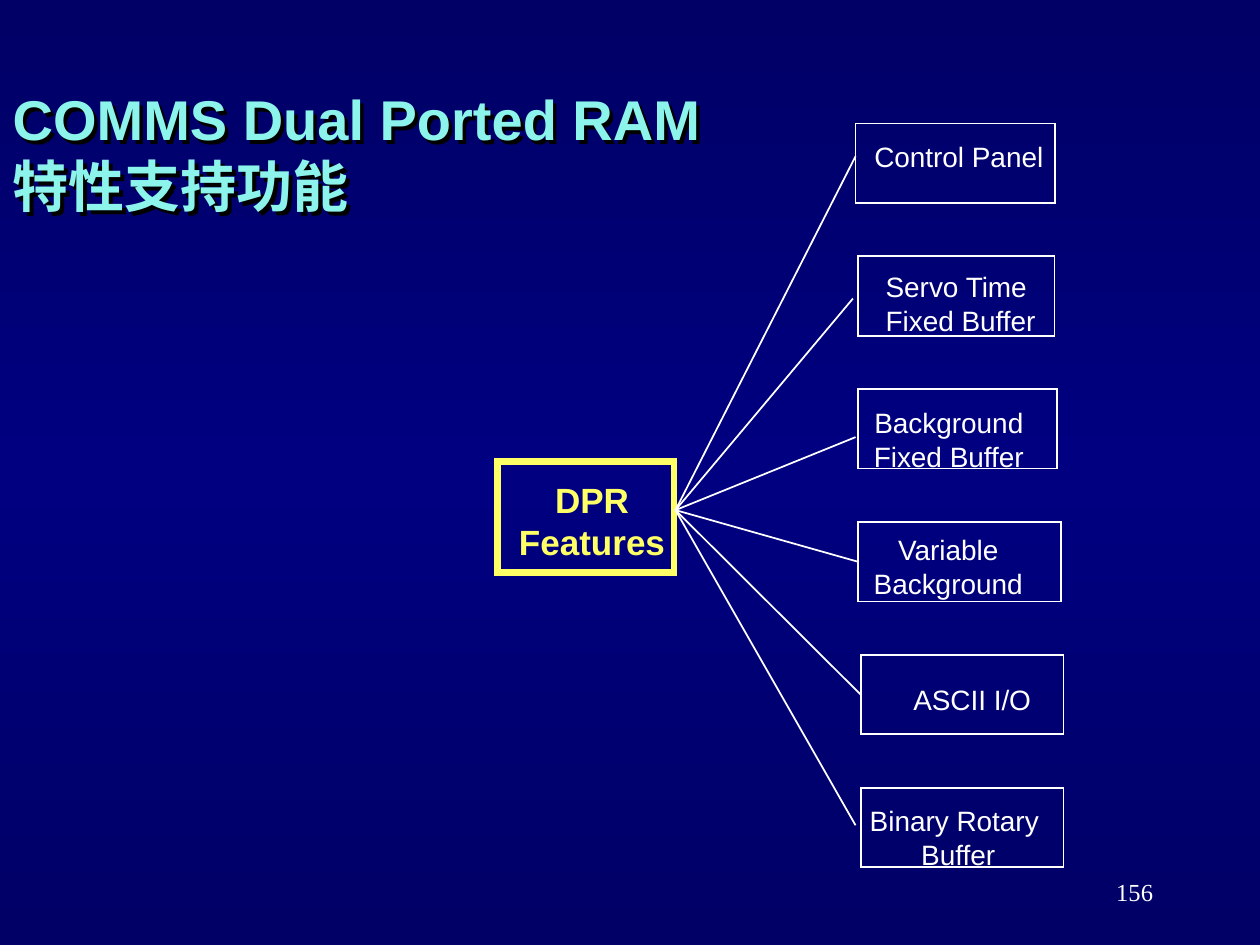
from copy import deepcopy
from dataclasses import dataclass

from pptx import Presentation
from pptx.dml.color import RGBColor
from pptx.enum.shapes import MSO_CONNECTOR, MSO_SHAPE
from pptx.enum.text import MSO_ANCHOR, MSO_AUTO_SIZE, PP_ALIGN
from pptx.oxml import parse_xml
from pptx.oxml.ns import nsdecls, qn
from pptx.util import Pt


@dataclass(frozen=True)
class Theme:
    edge: RGBColor = RGBColor(0x00, 0x00, 0x66)
    middle: RGBColor = RGBColor(0x00, 0x00, 0x80)
    title: RGBColor = RGBColor(0x8C, 0xF4, 0xEA)
    shadow: RGBColor = RGBColor(0x00, 0x00, 0x00)
    hub: RGBColor = RGBColor(0xFF, 0xFF, 0x66)
    white: RGBColor = RGBColor(0xFF, 0xFF, 0xFF)
    font: str = "Arial"
    number_font: str = "Times New Roman"
    title_size: int = 32
    hub_size: int = 20
    label_size: int = 16
    number_size: int = 14


T = Theme()
LEFT, CENTER, RIGHT = PP_ALIGN.LEFT, PP_ALIGN.CENTER, PP_ALIGN.RIGHT
FIRST_TOP, STEP, BOX_HEIGHT = 70.6, 75.9, 45.4
HUB_POINT = (386, 291.5)

FEATURES = [
    (488.9, 113.8, 492.5, 76.3, 111.6, LEFT, ["Control Panel"], (488.9, 89.3)),
    (490.3, 112.3, 499, 150.5, 100.8, LEFT, ["Servo Time", "Fixed Buffer"], (487.4, 170.6)),
    (490.3, 113.8, 491.8, 228.2, 100.8, CENTER, ["Background", "Fixed Buffer"], (488.9, 249.8)),
    (490.3, 115.9, 491.8, 301, 100.1, CENTER, ["Variable", "Background"], None),
    (491.8, 115.9, 514.8, 386.6, 82.1, LEFT, ["ASCII I/O"], None),
    (491.8, 115.9, 489.6, 455.8, 115.9, CENTER, ["Binary Rotary ", "Buffer"], (488.9, 471.6)),
]


def fill_background(s):
    fill = s.background.fill
    fill.gradient()
    fill.gradient_angle = 90
    stops = s._element.find(".//" + qn("a:gsLst"))
    stops.insert(1, deepcopy(stops[0]))
    for stop, position, color in zip(
        fill.gradient_stops, (0, 0.5, 1), (T.edge, T.middle, T.edge)
    ):
        stop.position = position
        stop.color.rgb = color


def add_run(p, text, size, color, font=T.font, bold=False):
    r = p.add_run()
    r.text = text
    r.font.size = Pt(size)
    r.font.name = font
    r.font.bold = bold
    r.font.color.rgb = color


def add_text_shadow(sp):
    sp.fill.background()
    sp._element.spPr.append(parse_xml(
        f'<a:effectLst {nsdecls("a")}>'
        f'<a:outerShdw dist="{Pt(2.83)}" dir="2700000" algn="ctr" rotWithShape="0">'
        f'<a:srgbClr val="{T.shadow}"/></a:outerShdw></a:effectLst>'
    ))


def add_title(s, lines):
    sp = s.shapes.title
    sp.left, sp.top, sp.width, sp.height = Pt(0), Pt(23.8), Pt(468), Pt(126)
    add_text_shadow(sp)
    tf = sp.text_frame
    tf.word_wrap = True
    tf.auto_size = MSO_AUTO_SIZE.NONE
    tf.vertical_anchor = MSO_ANCHOR.MIDDLE
    p = tf.paragraphs[0]
    p.alignment = LEFT
    for i, line in enumerate(lines):
        if i:
            p.add_line_break()
        add_run(p, line, T.title_size, T.title, bold=True)


def add_box(s, left, top, width, height, color, weight):
    sp = s.shapes.add_shape(MSO_SHAPE.RECTANGLE, Pt(left), Pt(top), Pt(width), Pt(height))
    sp.shadow.inherit = False
    sp.fill.background()
    sp.line.color.rgb = color
    sp.line.width = Pt(weight)
    outline = sp._element.spPr.find(qn("a:ln"))
    outline.append(parse_xml(f'<a:miter {nsdecls("a")} lim="800000"/>'))
    return sp


def add_label(s, left, top, width, height, lines, align, size, color, **style):
    tf = s.shapes.add_textbox(Pt(left), Pt(top), Pt(width), Pt(height)).text_frame
    tf.word_wrap = False
    tf.auto_size = MSO_AUTO_SIZE.SHAPE_TO_FIT_TEXT
    for i, line in enumerate(lines):
        p = tf.add_paragraph() if i else tf.paragraphs[0]
        p.alignment = align
        add_run(p, line, size, color, **style)
    return tf


def add_branch(s, box, end):
    x, y = end or HUB_POINT
    line = s.shapes.add_connector(
        MSO_CONNECTOR.STRAIGHT, Pt(HUB_POINT[0]), Pt(HUB_POINT[1]), Pt(x), Pt(y)
    )
    if end is None:
        line.end_connect(box, 1)
    line.line.color.rgb = T.white
    line.line.width = Pt(1)
    line._element.spPr.append(parse_xml(f'<a:effectLst {nsdecls("a")}/>'))


def add_feature(s, index, feature):
    left, width, text_left, text_top, text_width, align, lines, end = feature
    box = add_box(s, left, FIRST_TOP + index * STEP, width, BOX_HEIGHT, T.white, 1)
    add_branch(s, box, end)
    text_height = 26.6 if len(lines) == 1 else 45.4
    add_label(s, text_left, text_top, text_width, text_height, lines, align,
              T.label_size, T.white)


def add_page_number(s, number):
    tf = add_label(s, 516.2, 491.8, 149.8, 36, [number], RIGHT, T.number_size, T.white,
                   font=T.number_font)
    tf.word_wrap = True
    tf.auto_size = MSO_AUTO_SIZE.NONE
    tf.vertical_anchor = MSO_ANCHOR.MIDDLE


def main():
    prs = Presentation()
    prs.slide_width, prs.slide_height = Pt(720), Pt(540)
    s = prs.slides.add_slide(prs.slide_layouts[5])
    fill_background(s)
    add_title(s, ["COMMS Dual Ported RAM", "特性支持功能"])
    add_box(s, 284.4, 263.5, 100.8, 63.4, T.hub, 4)
    add_label(s, 289.4, 270, 97.9, 55.4, ["DPR", "Features"], CENTER,
              T.hub_size, T.hub, bold=True)
    for index, feature in enumerate(FEATURES):
        add_feature(s, index, feature)
    add_page_number(s, "156")
    prs.save("out.pptx")


if __name__ == "__main__":
    main()
